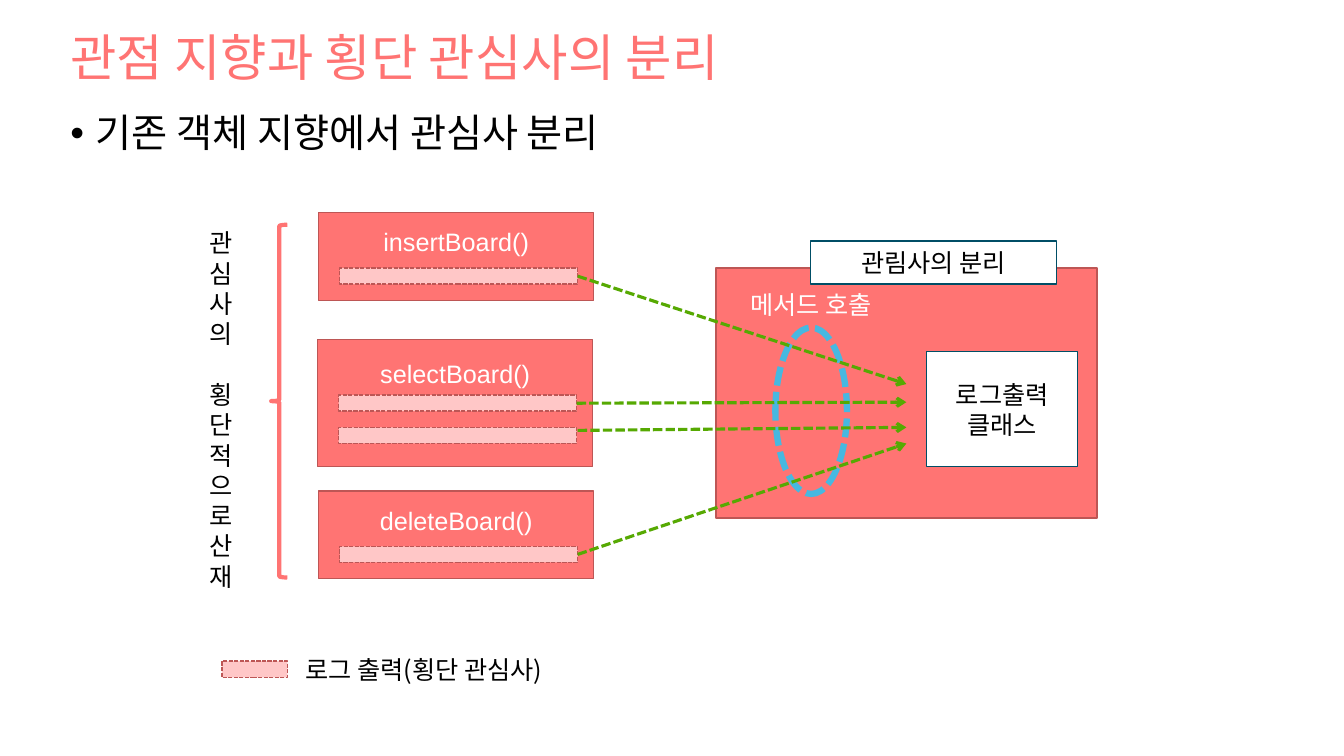
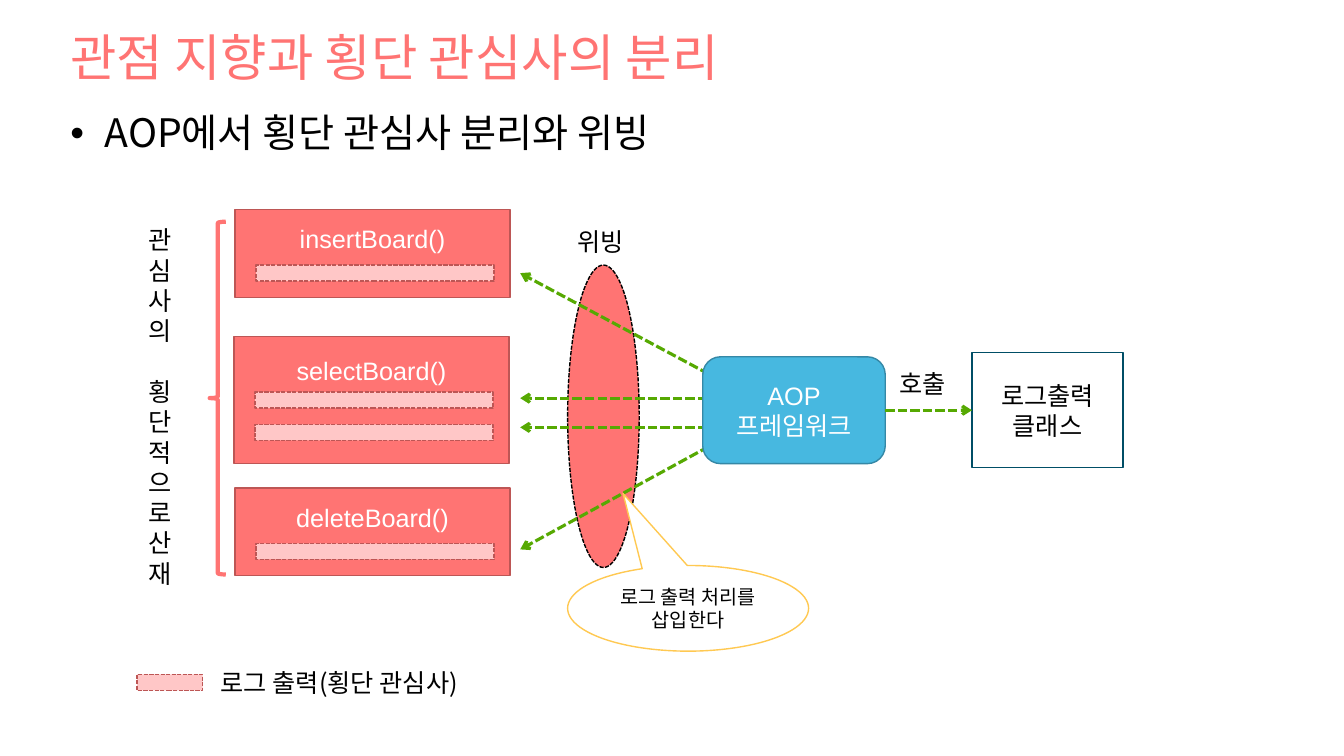
from dataclasses import dataclass

from lxml import etree
from pptx import Presentation
from pptx import util as u
from pptx.dml.color import RGBColor
from pptx.enum import dml, shapes, text
from pptx.oxml.ns import qn

PX = 9144  # EMU per px, 100 px to the inch
KOREAN, LATIN = "Noto Sans CJK KR", "Arial"
CORAL, CORAL_EDGE, PINK = "FF7473", "BD5655", "FFC7C7"
BLUE, BLUE_EDGE, NAVY = "47B8E0", "3588A6", "004E66"
GREEN, YELLOW, WHITE, BLACK = "56A902", "FFC952", "FFFFFF", "000000"
TITLE = "관점 지향과 횡단 관심사의 분리"
SLOT_W, SLOT_H, BLANK_LINE = 236, 16, 29
S = shapes.MSO_SHAPE
MIDDLE, TOP = text.MSO_ANCHOR.MIDDLE, text.MSO_ANCHOR.TOP
CENTER, LEFT = text.PP_ALIGN.CENTER, text.PP_ALIGN.LEFT


@dataclass(frozen=True)
class Box:
    x: int
    y: int
    w: int
    h: int

    def emu(self) -> list[int]:
        return [v * PX for v in (self.x, self.y, self.w, self.h)]


@dataclass(frozen=True)
class Look:
    fill: str | None
    edge: str
    weight: float = 1
    dashed: bool = False


@dataclass(frozen=True)
class Font:
    size: int = 18
    color: str = BLACK
    name: str = KOREAN


@dataclass(frozen=True)
class Method:
    name: str
    dx: int
    dy: int
    h: int
    slots: tuple[int, ...]


METHODS = (
    Method("insertBoard()", 0, 0, 87, (55,)),
    Method("selectBoard()", -1, 126, 126, (55, 87)),
    Method("deleteBoard()", 0, 276, 87, (55,)),
)
METHOD_LOOK = Look(CORAL, CORAL_EDGE)
SLOT_LOOK = Look(PINK, CORAL_EDGE, dashed=True)
PLAIN_LOOK = Look(WHITE, NAVY)
WHITE_LATIN = Font(color=WHITE, name=LATIN)


def rgb(color: str) -> RGBColor:
    return RGBColor.from_string(color)


def set_all(target, values: dict) -> None:
    for name, value in values.items():
        setattr(target, name, value)


# Text
def write(sp, lines: list[str], font: Font, anchor=TOP, align=LEFT,
          gap: int = 0, bottom: int = 5):
    tf = sp.text_frame
    set_all(tf, {"word_wrap": True, "vertical_anchor": anchor,
                 "margin_left": 10 * PX, "margin_right": 10 * PX,
                 "margin_top": 5 * PX, "margin_bottom": bottom * PX})
    for i, line in enumerate(lines):
        p = tf.add_paragraph() if i else tf.paragraphs[0]
        p.alignment = align
        if i and gap:
            p.space_before = u.Pt(gap)
        r = p.add_run()
        r.text = line
        set_all(r.font, {"size": u.Pt(font.size), "name": font.name})
        r.font.color.rgb = rgb(font.color)
        etree.SubElement(r.font._element, qn("a:ea"), typeface=KOREAN)
    return tf.paragraphs[0]


def add_text(s, box: Box, lines: list[str], font: Font = Font(), **fmt):
    return write(s.shapes.add_textbox(*box.emu()), lines, font, **fmt)


# Shapes and arrows
def style_line(line, look: Look) -> None:
    line.color.rgb = rgb(look.edge)
    line.width = u.Pt(look.weight)
    if look.dashed:
        line.dash_style = dml.MSO_LINE.SQUARE_DOT


def add_shape(s, kind, box: Box, look: Look, lines: list[str] | None = None,
              font: Font = Font(), bottom: int = 5):
    sp = s.shapes.add_shape(kind, *box.emu())
    sp.shadow.inherit = False
    if look.fill:
        sp.fill.solid()
        sp.fill.fore_color.rgb = rgb(look.fill)
    else:
        sp.fill.background()
    style_line(sp.line, look)
    if lines:
        write(sp, lines, font, MIDDLE, CENTER, bottom=bottom)
    return sp


def add_arrow(s, x1: int, y1: int, x2: int, y2: int, source=None, target=None) -> None:
    cx = s.shapes.add_connector(shapes.MSO_CONNECTOR.STRAIGHT,
                                *(v * PX for v in (x1, y1, x2, y2)))
    if source is not None:
        cx.begin_connect(source, 3)
    if target is not None:
        cx.end_connect(target, 1)
    style_line(cx.line, Look(None, GREEN, 2.25, True))
    etree.SubElement(cx.line._get_or_add_ln(), qn("a:tailEnd"), type="arrow")
    etree.SubElement(cx._element.spPr, qn("a:effectLst"))


# Parts both slides share
def add_slide(prs, heading: str, indent: int):
    s = prs.slides.add_slide(prs.slide_layouts[6])
    p = add_text(s, Box(60, 22, 1214, 75), [TITLE], Font(36, CORAL), anchor=MIDDLE)
    p.line_spacing = 0.9
    p = add_text(s, Box(60, 108, 1214, 58), [heading], Font(28))
    pPr = p._p.get_or_add_pPr()
    pPr.set("marL", str(indent * PX))
    pPr.set("indent", str(-indent * PX))
    etree.SubElement(pPr, qn("a:buFont"), typeface=LATIN)
    etree.SubElement(pPr, qn("a:buChar"), char="•")
    p.line_spacing = 0.9
    return s


def add_methods(s, x: int, y: int, brace_x: int) -> list:
    slots = []
    for m in METHODS:
        left, top = x + m.dx, y + m.dy
        add_shape(s, S.RECTANGLE, Box(left, top, 273, m.h), METHOD_LOOK, [m.name],
                  WHITE_LATIN, bottom=5 + BLANK_LINE * len(m.slots))
        slots += [add_shape(s, S.RECTANGLE, Box(left + 21, top + dy, SLOT_W, SLOT_H),
                            SLOT_LOOK) for dy in m.slots]
    add_shape(s, S.LEFT_BRACE, Box(brace_x, y + 12, 16, 350), Look(None, CORAL, 3))
    add_text(s, Box(brace_x - 71, y + 10, 55, 374), ["관심사의", "횡단적으로 산재"], gap=22)
    return slots


def add_legend(s, x: int, y: int) -> None:
    add_shape(s, S.RECTANGLE, Box(x, y, 65, SLOT_H), SLOT_LOOK)
    add_text(s, Box(x + 73, y - 12, 281, 40), ["로그 출력(횡단 관심사)"])


def add_log_class(s, x: int, y: int):
    return add_shape(s, S.RECTANGLE, Box(x, y, 150, 114), PLAIN_LOOK, ["로그출력 클래스"])


# Slides
def object_slide(prs) -> None:
    s = add_slide(prs, "기존 객체 지향에서 관심사 분리", 25)
    slots = add_methods(s, 316, 211, 269)
    add_shape(s, S.RECTANGLE, Box(710, 266, 378, 248), METHOD_LOOK)
    add_shape(s, S.RECTANGLE, Box(804, 239, 244, 43), PLAIN_LOOK, ["관림사의 분리"])
    add_log_class(s, 919, 349)
    add_shape(s, S.OVAL, Box(769, 325, 71, 165), Look(CORAL, BLUE, 4.5, True))
    add_text(s, Box(734, 282, 165, 40), ["메서드 호출"], Font(color=WHITE))
    first, second, _, last = slots
    for source, y1, y2 in ((first, 274, 381), (second, 398, 399),
                           (None, 427, 424), (last, 548, 440)):
        add_arrow(s, 573, y1, 899, y2, source)
    add_legend(s, 220, 656)


def aspect_slide(prs) -> None:
    s = add_slide(prs, "AOP에서 횡단 관심사 분리와 위빙", 34)
    add_methods(s, 233, 208, 208)
    log_class = add_log_class(s, 964, 350)
    add_shape(s, S.OVAL, Box(563, 263, 71, 300), Look(CORAL, BLACK, dashed=True))
    for x, y, label in ((882, 360, "호출"), (563, 220, "위빙")):
        add_text(s, Box(x, y, 83, 40), [label])
    for y1, y2 in ((377, 271), (395, 395), (424, 424), (437, 545)):
        add_arrow(s, 714, y1, 516, y2)
    framework = add_shape(s, S.ROUNDED_RECTANGLE, Box(697, 354, 181, 106),
                          Look(BLUE, BLUE_EDGE), ["AOP", "프레임워크"], WHITE_LATIN)
    add_arrow(s, 878, 407, 964, 407, framework, log_class)
    callout = add_shape(s, S.OVAL_CALLOUT, Box(563, 561, 239, 85), Look(WHITE, YELLOW),
                        ["로그 출력 처리를 삽입한다"], Font(14))
    callout.adjustments[0], callout.adjustments[1] = -0.27, -1.34
    add_legend(s, 136, 669)


def main() -> None:
    prs = Presentation()
    set_all(prs, {"slide_width": 1333 * PX, "slide_height": 750 * PX})
    object_slide(prs)
    aspect_slide(prs)
    prs.save("out.pptx")


if __name__ == "__main__":
    main()
